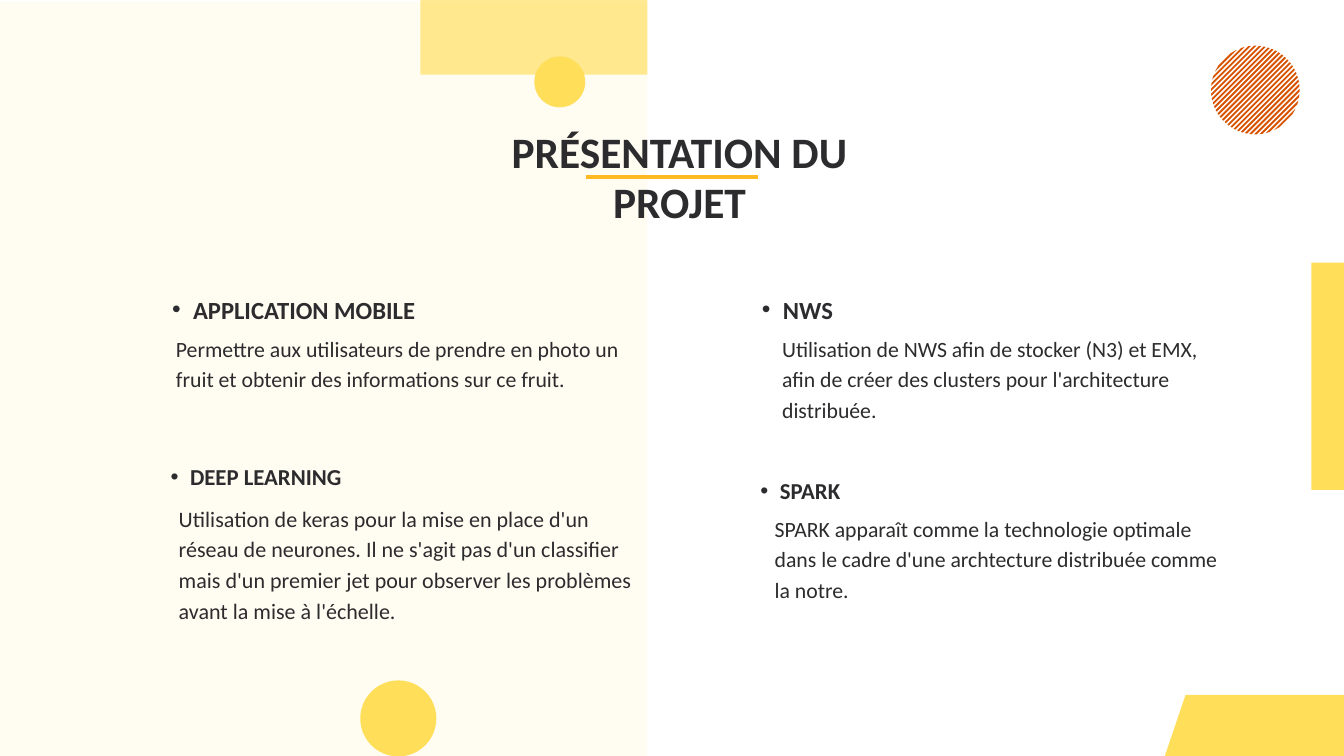
"""Build the project overview slide with four topics on a split background."""
from dataclasses import dataclass
from math import sqrt

from lxml import etree
from pptx import Presentation
from pptx.dml.color import RGBColor
from pptx.enum.shapes import MSO_CONNECTOR, MSO_SHAPE
from pptx.enum.text import MSO_ANCHOR, MSO_AUTO_SIZE, PP_ALIGN
from pptx.oxml.ns import qn
from pptx.util import Pt

RECT, OVAL, SLANT = MSO_SHAPE.RECTANGLE, MSO_SHAPE.OVAL, MSO_SHAPE.PARALLELOGRAM
STRAIGHT = MSO_CONNECTOR.STRAIGHT
TOP, NONE = MSO_ANCHOR.TOP, MSO_AUTO_SIZE.NONE
LEFT, CENTER = PP_ALIGN.LEFT, PP_ALIGN.CENTER
COLORS = {"yellow": "FFDE59", "amber": "FFB923", "rust": "D85300", "ink": "2C2B2D"}
FONT = "Calibri"
Box = tuple[float, float, float, float]


@dataclass
class Block:
    kind: int
    box: Box
    alpha: int = 100


@dataclass
class Topic:
    head: str
    head_box: Box
    head_size: float
    head_line: float
    indent: float
    text: str
    text_box: Box
    size: float = 23.3
    line: float = 32.6


BLOCKS = [
    Block(RECT, (-6.5, 2, 700, 809.5), 8),
    Block(RECT, (450.5, -1.5, 243, 81.5), 65),
    Block(SLANT, (1248, 744.5, 219.5, 65.5)),
    Block(OVAL, (572.5, 60.5, 54.5, 54.5)),
    Block(OVAL, (386, 729, 81.5, 81.5)),
    Block(RECT, (1405, 281.5, 35, 243.5)),
]
TOPICS = [
    Topic("APPLICATION MOBILE", (162, 317, 396, 31), 26.4, 30.1, 22.4,
          "Permettre aux utilisateurs de prendre en photo un fruit et obtenir "
          "des informations sur ce fruit.", (188.5, 355, 481, 65)),
    Topic("DEEP LEARNING", (162, 497.5, 348.5, 28), 24.4, 27.9, 20.8,
          "Utilisation de keras pour la mise en place d'un réseau de neurones. "
          "Il ne s'agit pas d'un classifier mais d'un premier jet pour observer "
          "les problèmes avant la mise à l'échelle.",
          (191.5, 536.5, 489.5, 131), 23.6, 33),
    Topic("NWS", (794, 317, 253.5, 31), 26.4, 30.1, 22.4,
          "Utilisation de NWS afin de stocker (N3) et EMX, afin de créer des "
          "clusters pour l'architecture distribuée.", (838, 355, 473, 98)),
    Topic("SPARK", (794, 512.5, 253.5, 28), 24.4, 27.9, 20.8,
          "SPARK apparaît comme la technologie optimale dans le cadre d'une "
          "archtecture distribuée comme la notre.", (830, 548, 489.5, 98)),
]


def place(shape, box: Box) -> None:
    shape.left, shape.top, shape.width, shape.height = map(Pt, box)


def paint(shape, color: str, alpha: int = 100) -> None:
    shape.shadow.inherit = False
    shape.fill.solid()
    shape.fill.fore_color.rgb = RGBColor.from_string(COLORS[color])
    shape.line.fill.background()
    if alpha < 100:
        tint = next(shape.element.iter(qn("a:srgbClr")))
        etree.SubElement(tint, qn("a:alpha"), val=str(alpha * 1000))


def draw_block(slide, block: Block) -> None:
    shape = slide.shapes.add_shape(block.kind, *map(Pt, block.box))
    if block.kind == SLANT:
        shape.adjustments[0] = 0.34
    paint(shape, "yellow", block.alpha)


def draw_stripes(slide, x: float, y: float, radius: float, count: int) -> None:
    step, half, unit = 3.96, 1, sqrt(0.5)
    pen = None
    for i in range(count):
        mid = (i - (count - 1) / 2) * step
        ring = []
        for off, signs in ((mid - half, (-1, 1)), (mid + half, (1, -1))):
            reach = sqrt(radius ** 2 - off ** 2)
            ring += [(Pt(x + (off + sign * reach) * unit),
                      Pt(y + (off - sign * reach) * unit)) for sign in signs]
        if pen is None:
            pen = slide.shapes.build_freeform(*ring[0])
        else:
            pen.move_to(*ring[0])
        pen.add_line_segments(ring[1:], close=True)
    paint(pen.convert_to_shape(), "rust")


def draw_rule(slide, x: float, y: float, end: float) -> None:
    rule = slide.shapes.add_connector(STRAIGHT, Pt(x), Pt(y), Pt(end), Pt(y))
    rule.line.color.rgb = RGBColor.from_string(COLORS["amber"])
    rule.line.width = Pt(3.75)
    etree.SubElement(rule.element.spPr, qn("a:effectLst"))


def write(shape, text: str, *, box: Box, size: float, line: float,
          bold: bool = False, align: int = LEFT, indent: float = 0) -> None:
    place(shape, box)
    shape.element.getparent().append(shape.element)
    frame = shape.text_frame
    frame.word_wrap, frame.auto_size, frame.vertical_anchor = True, NONE, TOP
    frame.margin_left = frame.margin_top = frame.margin_right = frame.margin_bottom = 0
    para = frame.paragraphs[0]
    para.alignment, para.line_spacing = align, Pt(line)
    para.space_before = para.space_after = Pt(0)
    if indent:
        props = para._p.get_or_add_pPr()
        props.set("marL", str(Pt(2 * indent)))
        props.set("indent", str(-Pt(indent)))
        etree.SubElement(props, qn("a:buFont"), typeface="Arial")
        etree.SubElement(props, qn("a:buChar"), char="•")
    run = para.add_run()
    run.text = text
    run.font.name, run.font.size, run.font.bold = FONT, Pt(size), bold
    run.font.color.rgb = RGBColor.from_string(COLORS["ink"])


def draw_topic(slide, holder, topic: Topic) -> None:
    write(holder, topic.head, box=topic.head_box, size=topic.head_size,
          line=topic.head_line, bold=True, indent=topic.indent)
    body = slide.shapes.add_textbox(0, 0, 0, 0)
    write(body, topic.text, box=topic.text_box, size=topic.size, line=topic.line)


def main() -> None:
    deck = Presentation()
    deck.slide_width, deck.slide_height = Pt(1440), Pt(810)
    slide = deck.slides.add_slide(deck.slide_layouts.get_by_name("Comparison"))
    title, *heads = list(slide.placeholders)
    for block in BLOCKS:
        draw_block(slide, block)
    draw_rule(slide, 628, 189.5, 812)
    draw_stripes(slide, 1345, 96.5, 47.5, 24)
    write(title, "PRÉSENTATION DU PROJET", box=(488, 137, 480, 107),
          size=46.5, line=53, bold=True, align=CENTER)
    for holder, topic in zip(heads, TOPICS):
        draw_topic(slide, holder, topic)
    deck.save("out.pptx")


if __name__ == "__main__":
    main()
